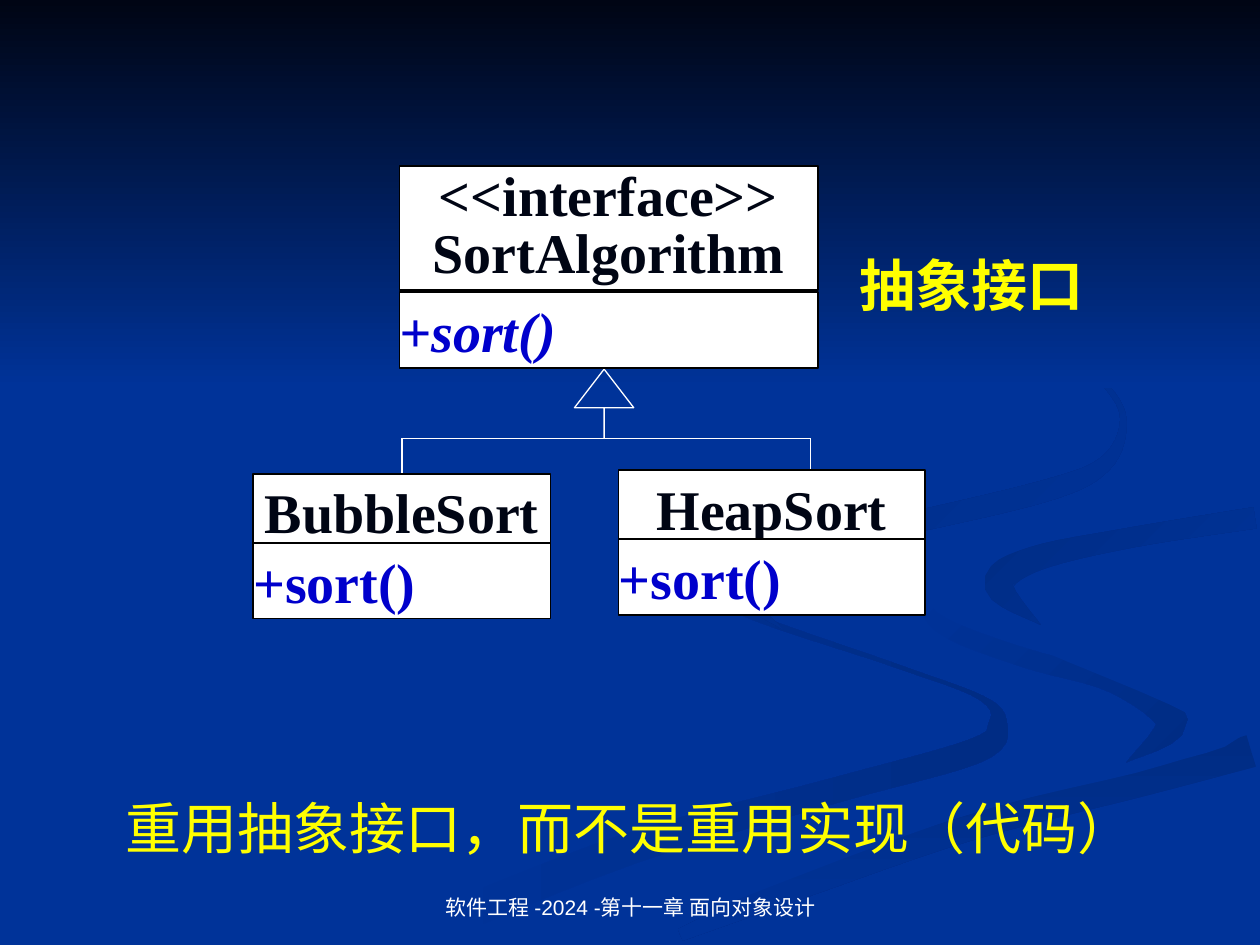
from dataclasses import dataclass
from math import hypot

from lxml.etree import SubElement
from pptx import Presentation
from pptx.dml.color import RGBColor
from pptx.enum.shapes import MSO_CONNECTOR, MSO_SHAPE
from pptx.enum.text import MSO_ANCHOR, PP_ALIGN
from pptx.oxml.ns import qn
from pptx.util import Inches, Pt


@dataclass(frozen=True)
class Theme:
    """Colours, fonts and type sizes of the slide."""
    blue: str = "003399"
    shade: str = "002C84"
    night: str = "000514"
    white: str = "FFFFFF"
    black: str = "000000"
    yellow: str = "FFFF00"
    method: str = "0000CC"
    serif: str = "Times New Roman"
    sans: str = "Arial"
    cjk: str = "Noto Sans CJK SC"
    large: int = 32
    small: int = 12
    hairline: float = 0.75
    border: float = 1


@dataclass(frozen=True)
class Ribbon:
    """A swirl given by spine knots of x, y and width, and its gradient."""
    knots: tuple
    start: str
    end: str
    angle: int = 0


THEME = Theme()
ROW = 0.6
METHOD_DROP = 0.55
STEPS = 6

RIBBONS = {
    "lower loop": Ribbon(
        ((5.74, 4.6, 0), (5.85, 4.84, 0.05), (7.1, 5.28, 0.03), (7.79, 5.54, 0.04),
         (7.92, 5.75, 0.15), (7.74, 5.96, 0.2), (6.64, 6.27, 0.2),
         (4.99, 6.74, 0.25), (3.42, 7.36, 0.27)), THEME.blue, THEME.shade),
    "right hook": Ribbon(
        ((7.24, 4.64, 0), (7.47, 4.96, 0.13), (8.13, 5.22, 0.15), (8.84, 5.42, 0.16),
         (9.3, 5.72, 0.25), (8.94, 6.05, 0)), THEME.blue, THEME.shade, 45),
    "lower band": Ribbon(
        ((5.4, 7.42, 0.1), (6.36, 7.03, 0.2), (7.7, 6.57, 0.2), (9.1, 6.2, 0.22),
         (9.93, 5.96, 0.26)), THEME.shade, THEME.blue, 90),
    "wide band": Ribbon(
        ((9.95, 3.95, 0.14), (8.33, 4.23, 0.14), (7.53, 4.62, 0.4), (8.3, 5.07, 0.2),
         (9.7, 5.6, 0.4), (9.2, 6.03, 0.1), (7.5, 6.47, 0.1),
         (5.0, 7.42, 0.1)), THEME.blue, THEME.blue),
    "right curl": Ribbon(
        ((9.96, 4.11, 0.17), (8.96, 4.27, 0.16), (8.2, 4.44, 0.2), (7.93, 4.65, 0.23),
         (8.26, 4.96, 0)), THEME.shade, THEME.blue, 45),
    "upper loop": Ribbon(
        ((7.62, 2.33, 0), (8.44, 2.77, 0.04), (8.84, 3.14, 0.04), (8.91, 3.41, 0.06),
         (8.76, 3.69, 0.12), (8.35, 3.88, 0.17), (7.36, 4.12, 0.17),
         (6.3, 4.33, 0.16), (5.85, 4.64, 0.15), (6.22, 5, 0)),
        THEME.shade, THEME.blue, 45),
}


def rgb(value):
    """Turn a hex string into a colour."""
    return RGBColor.from_string(value)


def smooth_spine(knots):
    """Sample a Catmull-Rom curve that runs through the knots."""
    padded = (knots[0], *knots, knots[-1])
    samples = []
    for a, b, c, d in zip(padded, padded[1:], padded[2:], padded[3:]):
        for step in range(STEPS):
            t = step / STEPS
            samples.append([
                q + t * (r - p + t * (2*p - 5*q + 4*r - s + t * (3*q - p - 3*r + s))) / 2
                for p, q, r, s in zip(a, b, c, d)])
    return samples + [knots[-1]]


def ribbon_outline(knots):
    """Offset the spine by half its width to each side."""
    spine = smooth_spine(knots)
    left, right = [], []
    for i, (x, y, width) in enumerate(spine):
        before, after = spine[max(i - 1, 0)], spine[min(i + 1, len(spine) - 1)]
        dx, dy = after[0] - before[0], after[1] - before[1]
        half = max(width, 0) / 2 / hypot(dx, dy)
        left.append((x - dy * half, y + dx * half))
        right.append((x + dy * half, y - dx * half))
    return left + right[::-1]


def fill_gradient(sp, start, end, angle):
    """Give a shape a two-colour fill without outline or shadow."""
    sp.shadow.inherit = False
    sp.line.fill.background()
    sp.fill.gradient()
    sp.fill.gradient_angle = -angle % 360
    for stop, colour in zip(sp.fill.gradient_stops, (start, end)):
        stop.color.rgb = rgb(colour)


def add_ribbon(s, ribbon):
    """Draw one background swirl."""
    corners = [(Inches(x), Inches(y)) for x, y in ribbon_outline(ribbon.knots)]
    builder = s.shapes.build_freeform(*corners[0], scale=1.0)
    builder.add_line_segments(corners[1:], close=True)
    fill_gradient(builder.convert_to_shape(), ribbon.start, ribbon.end, ribbon.angle)


def add_backdrop(s):
    """Draw the blue ground, the swirls and the dark sky."""
    s.background.fill.solid()
    s.background.fill.fore_color.rgb = rgb(THEME.blue)
    for ribbon in RIBBONS.values():
        add_ribbon(s, ribbon)
    sky = s.shapes.add_shape(MSO_SHAPE.RECTANGLE, 0, 0, Inches(10), Inches(3.08))
    fill_gradient(sky, THEME.night, THEME.blue, 90)


def write(sp, text, colour, size=THEME.large, font=THEME.serif, bold=False,
          italic=False, align=PP_ALIGN.LEFT, spacing=1.0):
    """Fill a shape with text in one style."""
    tf = sp.text_frame
    tf.text = text
    for p in tf.paragraphs:
        p.alignment, p.line_spacing = align, spacing
        for r in p.runs:
            f = r.font
            f.name, f.size, f.bold, f.italic = font, Pt(size), bold, italic
            f.color.rgb = rgb(colour)
            ea = SubElement(r._r.get_or_add_rPr(), qn("a:ea"))
            ea.set("typeface", THEME.cjk)


def add_label(s, box, text, colour, wrap=True, anchor=MSO_ANCHOR.TOP, **style):
    """Add a text box."""
    sp = s.shapes.add_textbox(*map(Inches, box))
    sp.text_frame.word_wrap = wrap
    sp.text_frame.vertical_anchor = anchor
    write(sp, text, colour, **style)


def add_compartment(s, box, text, colour, **style):
    """Add one white compartment of a class box."""
    sp = s.shapes.add_shape(MSO_SHAPE.RECTANGLE, *map(Inches, box))
    sp.shadow.inherit = False
    sp.fill.solid()
    sp.fill.fore_color.rgb = rgb(THEME.white)
    sp.line.color.rgb = rgb(THEME.black)
    sp.line.width = Pt(THEME.border)
    tf = sp.text_frame
    tf.word_wrap = True
    tf.vertical_anchor = MSO_ANCHOR.MIDDLE
    tf.margin_left = tf.margin_right = 0
    tf.margin_top = tf.margin_bottom = Inches(0.03)
    write(sp, text, colour, bold=True, **style)


def add_class(s, left, top, width, name, height=ROW, drop=METHOD_DROP,
              abstract=False, spacing=1.0):
    """Add a class box with its name above its sort method."""
    add_compartment(s, (left, top, width, height), name, THEME.night,
                    align=PP_ALIGN.CENTER, spacing=spacing)
    add_compartment(s, (left, top + drop, width, ROW), "+sort()", THEME.method,
                    italic=abstract)


def add_inheritance(s, left=3.19, right=6.43, bar=3.48, foot=4.03):
    """Draw the generalisation arrow and its two branches."""
    for ends in ((left, bar, right, bar), (left, bar, left, foot),
                 (right, bar, right, foot)):
        line = s.shapes.add_connector(MSO_CONNECTOR.STRAIGHT, *map(Inches, ends))
        line.line.color.rgb = rgb(THEME.white)
        line.line.width = Pt(THEME.hairline)
        SubElement(line._element.spPr, qn("a:effectLst"))
    sp = s.shapes.add_shape(MSO_SHAPE.UP_ARROW, *map(Inches, (4.56, 2.93, 0.47, 0.55)))
    sp.adjustments[0], sp.adjustments[1] = 0, 0.65
    sp.shadow.inherit = False
    sp.fill.background()
    sp.line.color.rgb = rgb(THEME.white)
    sp.line.width = Pt(THEME.hairline)


def main():
    """Build and save the slide."""
    prs = Presentation()
    prs.slide_width, prs.slide_height = Inches(10), Inches(7.5)
    s = prs.slides.add_slide(prs.slide_layouts[6])
    add_backdrop(s)
    add_label(s, (0.5, 6.31, 9, 0.59), "重用抽象接口，而不是重用实现（代码）",
              THEME.yellow, align=PP_ALIGN.CENTER, spacing=0.9)
    add_inheritance(s)
    add_class(s, 3.17, 1.32, 3.32, "<<interface>>\nSortAlgorithm", height=0.98,
              drop=1, abstract=True, spacing=0.85)
    add_class(s, 2.01, 3.76, 2.36, "BubbleSort")
    add_class(s, 4.91, 3.73, 2.43, "HeapSort")
    add_label(s, (6.72, 1.94, 1.98, 0.64), "抽象接口", THEME.yellow, wrap=False,
              font=THEME.cjk, bold=True)
    add_label(s, (3.42, 6.83, 3.17, 0.52), "软件工程 -2024 -第十一章 面向对象设计",
              THEME.white, anchor=MSO_ANCHOR.BOTTOM, size=THEME.small,
              font=THEME.sans, align=PP_ALIGN.CENTER)
    prs.save("out.pptx")


if __name__ == "__main__":
    main()
